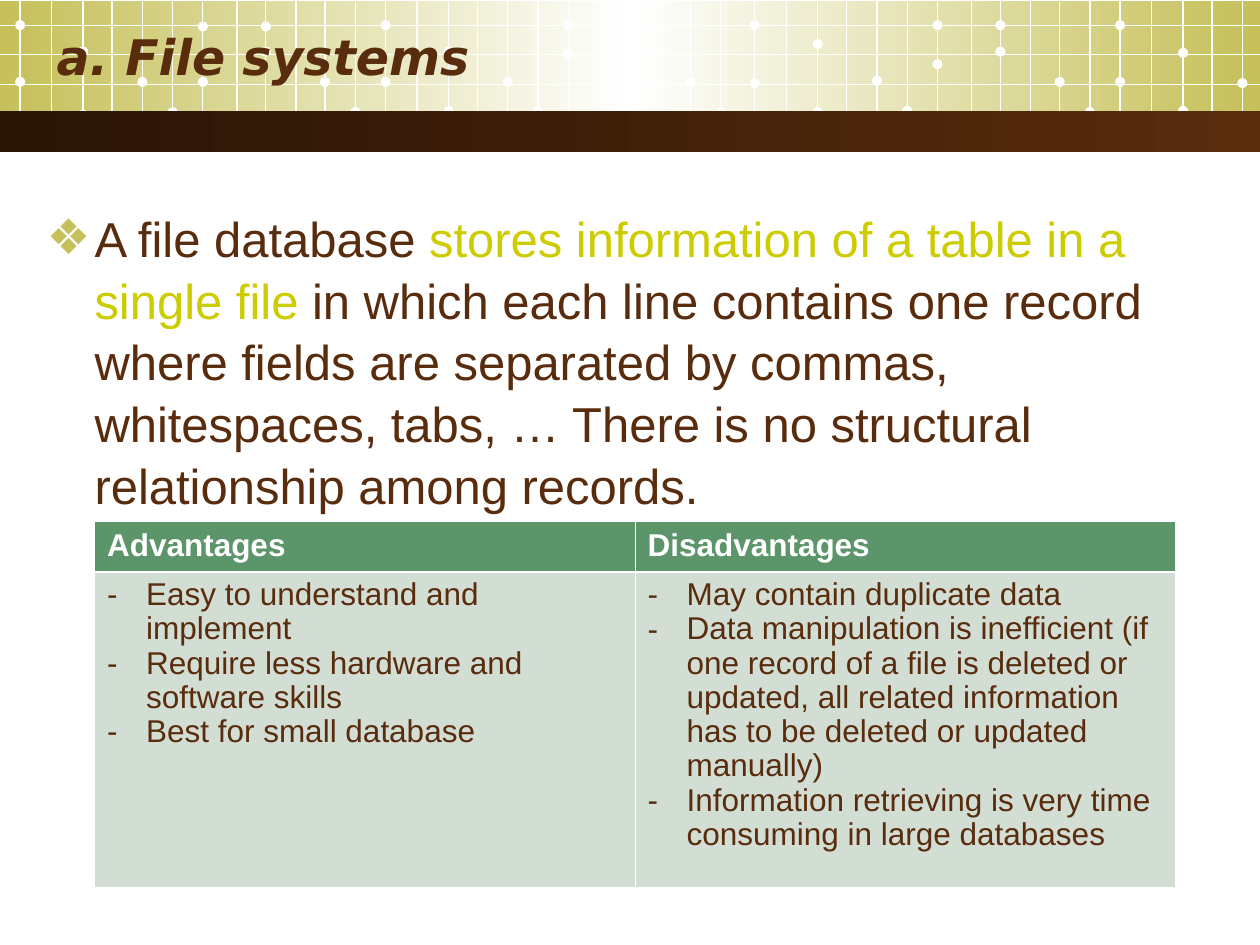
"""Build the file systems slide."""
from lxml.etree import SubElement
from pptx import Presentation
from pptx.dml.color import RGBColor
from pptx.enum.shapes import MSO_CONNECTOR, MSO_SHAPE
from pptx.enum.text import MSO_ANCHOR, MSO_AUTO_SIZE, PP_ALIGN
from pptx.oxml import parse_xml
from pptx.oxml.ns import nsdecls, qn
from pptx.util import Inches, Pt

BROWN, DARK, GOLD, WHITE = "592C0D", "291406", "C5C059", "FFFFFF"
LIME, GREEN, PALE = "CCCC00", "5B9569", "D2DDD4"
TITLE = {"name": "DejaVu Sans", "size": Pt(28), "bold": True, "italic": True}
BODY = {"name": "Arial", "size": Pt(28)}
HEAD = {"name": "Arial", "size": Pt(18), "bold": True}
ITEM = {"name": "Arial", "size": Pt(18), "bold": False}

STARTS = (0.16, 3.06, 5.99, 8.89)
STEPS = (0, 0.25, 0.5, 0.73, 0.97, 1.21, 1.45, 1.72, 1.95, 2.19, 2.42, 2.66)
ROWS = (0.2, 0.43, 0.67, 0.89)
DOT = 0.08
DOT_COLS = (0, 0, 2, 2, 4, 5, 6, 6, 8, 8, 10, 11)
DOT_ROWS = (
    (0.65, 0.2, 0.41, 0.91, 0.65, 0.89, 0.65, 0.21, 0.41, 0.21, 0.65, 0.89),
    (0.65, 0.2, 0.41, 0.88, 0.65, 0.88, 0.43, 0.2, 0.42, 0.2, 0.65, 0.89),
    (0.66, 0.2, 0.35, 0.89, 0.64, 0.88, 0.51, 0.2, 0.41, 0.2, 0.65, 0.89),
    (0.65, 0.2, 0.42, 0.88, 0.66),
)

TEXT = (
    ("A file database ", BROWN),
    ("stores information of a table in a single file", LIME),
    (" in which each line contains one record where fields are separated by "
     "commas, whitespaces, tabs, … There is no structural relationship among "
     "records.", BROWN),
)
LISTS = {
    "Advantages": (
        "Easy to understand and implement",
        "Require less hardware and software skills",
        "Best for small database",
    ),
    "Disadvantages": (
        "May contain duplicate data",
        "Data manipulation is inefficient (if one record of a file is deleted "
        "or updated, all related information has to be deleted or updated "
        "manually)",
        "Information retrieving is very time consuming in large databases",
    ),
}


def paint(color, code):
    """Give a colour format a hex colour."""
    color.rgb = RGBColor.from_string(code)


def style(font, look, code):
    """Apply a dict of font values and a colour."""
    for key, value in look.items():
        setattr(font, key, value)
    paint(font.color, code)


def write(para, text, look, code):
    """Add a styled run to a paragraph."""
    run = para.add_run()
    run.text = text
    style(run.font, look, code)


def bullet(para, char, code, indent):
    """Give a paragraph a coloured bullet and a hanging indent."""
    props = para._p.get_or_add_pPr()
    props.set("marL", str(Inches(indent)))
    props.set("indent", str(-Inches(indent)))
    tint = SubElement(props, qn("a:buClr"))
    SubElement(tint, qn("a:srgbClr")).set("val", code)
    SubElement(props, qn("a:buFont")).set("typeface", "Arial")
    SubElement(props, qn("a:buChar")).set("char", char)


def place(shape, *box):
    """Set left, top, width and height in inches."""
    for key, value in zip(("left", "top", "width", "height"), box):
        setattr(shape, key, Inches(value))


def add_form(slide, kind, *box):
    """Add a preset shape with no outline or shadow."""
    shape = slide.shapes.add_shape(kind, *map(Inches, box))
    shape.shadow.inherit = False
    shape.line.fill.background()
    return shape


def add_band(slide, codes, *box):
    """Add a bar with evenly spaced gradient stops."""
    band = add_form(slide, MSO_SHAPE.RECTANGLE, *box)
    gap = 100000 // (len(codes) - 1)
    stops = "".join(
        f'<a:gs pos="{i * gap}"><a:srgbClr val="{code}"/></a:gs>'
        for i, code in enumerate(codes))
    band._element.spPr.insert(2, parse_xml(
        f'<a:gradFill {nsdecls("a")} rotWithShape="1"><a:gsLst>{stops}'
        '</a:gsLst><a:lin ang="0" scaled="0"/></a:gradFill>'))


def add_line(slide, *ends):
    """Add a thin white line."""
    line = slide.shapes.add_connector(
        MSO_CONNECTOR.STRAIGHT, *map(Inches, ends))
    paint(line.line.color, WHITE)
    line.line.width = Pt(0.75)
    SubElement(line._element.spPr, qn("a:effectLst"))


def add_dot(slide, x, y):
    """Add a white dot centred on a point."""
    dot = add_form(slide, MSO_SHAPE.OVAL, x - DOT / 2, y - DOT / 2, DOT, DOT)
    dot.fill.solid()
    paint(dot.fill.fore_color, WHITE)


def add_banner(slide):
    """Draw the grid with its dots between the two bars."""
    add_band(slide, (GOLD, WHITE, GOLD), 0, 0.01, 10, 1.02)
    for start, rows in zip(STARTS, DOT_ROWS):
        for step in STEPS:
            if start + step < 10:
                add_line(slide, start + step, 0, start + step, 1.1)
        for col, y in zip(DOT_COLS, rows):
            add_dot(slide, start + STEPS[col], y)
    for y in ROWS:
        add_line(slide, 0, y, 10, y)
    add_band(slide, (DARK, BROWN), 0, 0.88, 10, 0.33)


def fill_cell(cell, code, top, base):
    """Fill a cell and rule its edges in white."""
    cell.fill.solid()
    paint(cell.fill.fore_color, code)
    edges = {"lnL": 0.45, "lnR": 0.45, "lnT": top, "lnB": base}
    for i, (tag, width) in enumerate(edges.items()):
        cell._tc.get_or_add_tcPr().insert(i, parse_xml(
            f'<a:{tag} {nsdecls("a")} w="{Pt(width)}"><a:solidFill>'
            f'<a:srgbClr val="{WHITE}"/></a:solidFill></a:{tag}>'))


def add_grid(slide):
    """Add the table of good and bad points."""
    box = map(Inches, (0.75, 4.14, 8.58, 2.9))
    table = slide.shapes.add_table(2, len(LISTS), *box).table
    for row, height in zip(table.rows, (0.4, 2.5)):
        row.height = Inches(height)
    for col, (name, items) in enumerate(LISTS.items()):
        head, cell = table.cell(0, col), table.cell(1, col)
        fill_cell(head, GREEN, 0.45, 1.47)
        fill_cell(cell, PALE, 1.47, 0.45)
        write(head.text_frame.paragraphs[0], name, HEAD, WHITE)
        frame = cell.text_frame
        for i, item in enumerate(items):
            para = frame.add_paragraph() if i else frame.paragraphs[0]
            bullet(para, "-", BROWN, 0.31)
            para.line_spacing = 0.97
            write(para, item, ITEM, BROWN)


def add_text(slide):
    """Fill the title and body and bring them to the front."""
    title, body = slide.placeholders
    place(title, 0.35, 0.05, 9.14, 0.79)
    place(body, 0.27, 1.58, 9.39, 5.71)
    for shape in (title, body):
        slide.shapes._spTree.append(shape._element)
        shape.text_frame.auto_size = MSO_AUTO_SIZE.NONE
        shape.text_frame.paragraphs[0].alignment = PP_ALIGN.LEFT
    title.text_frame.vertical_anchor = MSO_ANCHOR.MIDDLE
    write(title.text_frame.paragraphs[0], "a. File systems", TITLE, BROWN)
    para = body.text_frame.paragraphs[0]
    bullet(para, "❖", GOLD, 0.38)
    para.space_before = Pt(0)
    para.line_spacing = 1.05
    for text, code in TEXT:
        write(para, text, BODY, code)


def main():
    """Build and save the slide."""
    deck = Presentation()
    deck.slide_width, deck.slide_height = Inches(10), Inches(7.5)
    slide = deck.slides.add_slide(deck.slide_layouts[1])
    add_banner(slide)
    add_text(slide)
    add_grid(slide)
    deck.save("out.pptx")


if __name__ == "__main__":
    main()
